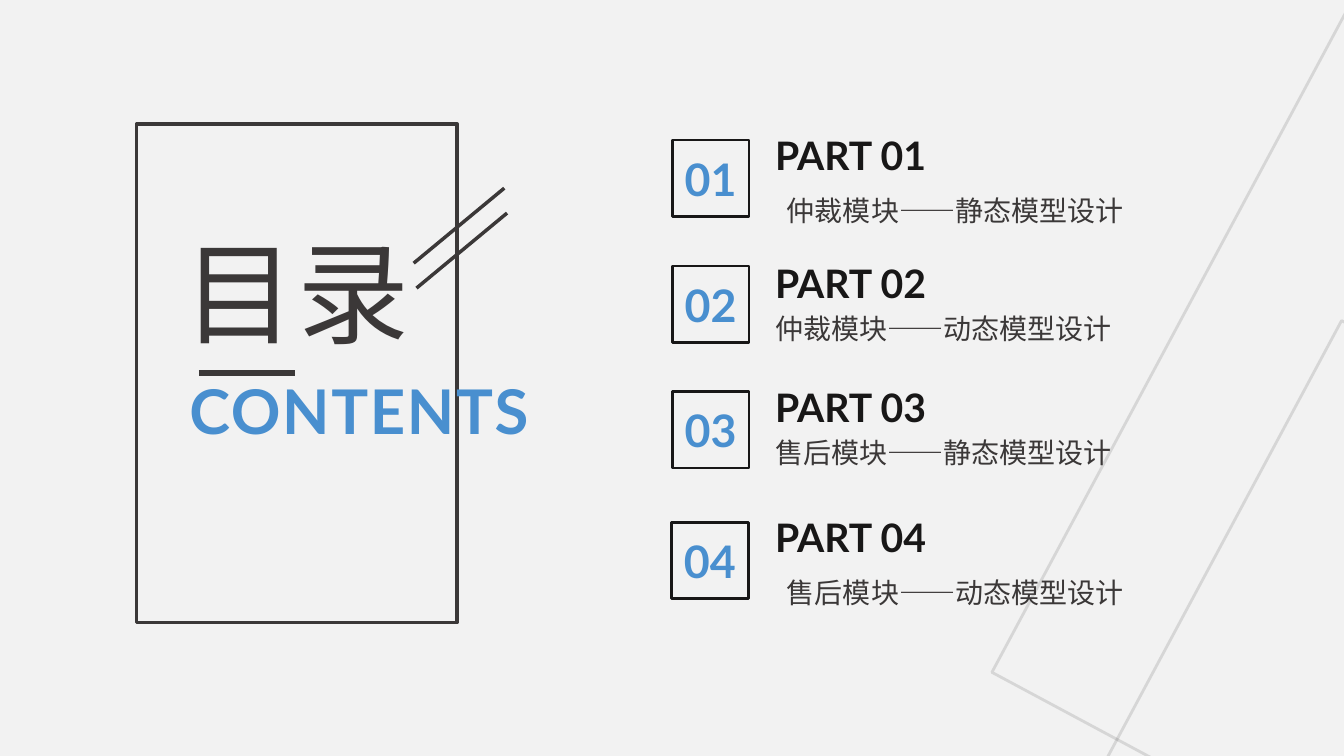
"""Builds a contents slide with a framed title and four numbered parts."""
from lxml import etree
from pptx import Presentation
from pptx.dml.color import RGBColor
from pptx.enum import shapes, text
from pptx.oxml.ns import qn
from pptx.util import Pt

PAPER = RGBColor(0xF2, 0xF2, 0xF2)
CHARCOAL = RGBColor(0x3B, 0x38, 0x38)
INK = RGBColor(0x18, 0x17, 0x17)
BLUE = RGBColor(0x49, 0x8F, 0xCF)

LATIN = "Lato"
CHINESE = "Noto Sans CJK SC"
SQUARE = 54.7
TEXT_LEFT = 546.5

PARTS = [
    ("01", 480.3, 100, 90, (555, 134.6), "仲裁模块——静态模型设计"),
    ("02", 480.3, 190, 181.4, (TEXT_LEFT, 218.9), "仲裁模块——动态模型设计"),
    ("03", 480.3, 279.6, 270, (TEXT_LEFT, 307.4), "售后模块——静态模型设计"),
    ("04", 479.7, 373, 363, (555, 407.5), "售后模块——动态模型设计"),
]


def place(shape, left, top, width, height):
    shape.left, shape.top = Pt(left), Pt(top)
    shape.width, shape.height = Pt(width), Pt(height)


def write(shape, words, size, font, color, bold=False, spacing=0):
    frame = shape.text_frame
    frame.word_wrap = True
    frame.auto_size = text.MSO_AUTO_SIZE.NONE
    para = frame.paragraphs[0]
    para.text = words
    para.font.size = Pt(size)
    para.font.bold = bold
    para.font.color.rgb = color
    para.font.name = font
    properties = para._p.pPr.find(qn("a:defRPr"))
    etree.SubElement(properties, qn("a:ea"), typeface=font)
    if spacing:
        properties.set("spc", str(round(spacing * 100)))
    return para


def add_text(page, left, top, width, height, *style, **options):
    box = page.shapes.add_textbox(Pt(left), Pt(top), Pt(width), Pt(height))
    return write(box, *style, **options)


def add_frame(page, left, top, width, height, color, weight):
    frame = page.shapes.add_shape(
        shapes.MSO_SHAPE.RECTANGLE, Pt(left), Pt(top), Pt(width), Pt(height))
    frame.shadow.inherit = False
    frame.fill.background()
    frame.line.color.rgb = color
    frame.line.width = Pt(weight)
    return frame


def add_faint_square(page, left, top):
    square = add_frame(page, left, top, 540.7, 540.7, CHARCOAL, 2)
    square.rotation = 298.2
    color = square.line._ln.find(".//" + qn("a:srgbClr"))
    etree.SubElement(color, qn("a:alpha"), val="15000")


def add_line(page, start, end, weight):
    line = page.shapes.add_connector(
        shapes.MSO_CONNECTOR.STRAIGHT, *map(Pt, start + end))
    line.line.color.rgb = CHARCOAL
    line.line.width = Pt(weight)
    etree.SubElement(line._element.spPr, qn("a:effectLst"))


def add_title(page):
    title = page.shapes.title
    place(title, 123.8, 200.2, 299.5, 67.7)
    para = write(title, "目录", 80, CHINESE, CHARCOAL, spacing=1.3)
    para.alignment = text.PP_ALIGN.LEFT
    para.line_spacing = Pt(52)
    title.text_frame.vertical_anchor = text.MSO_ANCHOR.TOP


def add_part(page, number, left, top, heading_top, label_at, label):
    square = add_frame(page, left, top, SQUARE, SQUARE, INK, 2)
    para = write(square, number, 32, LATIN, BLUE, bold=True)
    para.alignment = text.PP_ALIGN.CENTER
    square.text_frame.vertical_anchor = text.MSO_ANCHOR.MIDDLE
    add_text(page, TEXT_LEFT, heading_top, 162, 41,
             f"PART {number}", 28, LATIN, INK, bold=True)
    add_text(page, *label_at, 267, 31.5, label, 20, CHINESE, CHARCOAL)


def main():
    deck = Presentation()
    deck.slide_width, deck.slide_height = Pt(960), Pt(540)
    page = deck.slides.add_slide(deck.slide_layouts.get_by_name("Title Only"))
    page.background.fill.solid()
    page.background.fill.fore_color.rgb = PAPER

    add_faint_square(page, 804.2, 99.4)
    add_faint_square(page, 798.5, 324.7)
    add_frame(page, 97.5, 88.5, 229, 356.2, CHARCOAL, 2.5)
    add_title(page)
    add_text(page, 128.2, 262.8, 339.8, 60.5,
             "CONTENTS", 44, LATIN, BLUE, bold=True, spacing=1.2)
    add_line(page, (142, 266.4), (211, 266.4), 4)
    add_line(page, (360.2, 134.4), (295.5, 188), 2.5)
    add_line(page, (362.2, 152.2), (297.5, 205.8), 2.5)

    for part in PARTS:
        add_part(page, *part)
    deck.save("out.pptx")


if __name__ == "__main__":
    main()
